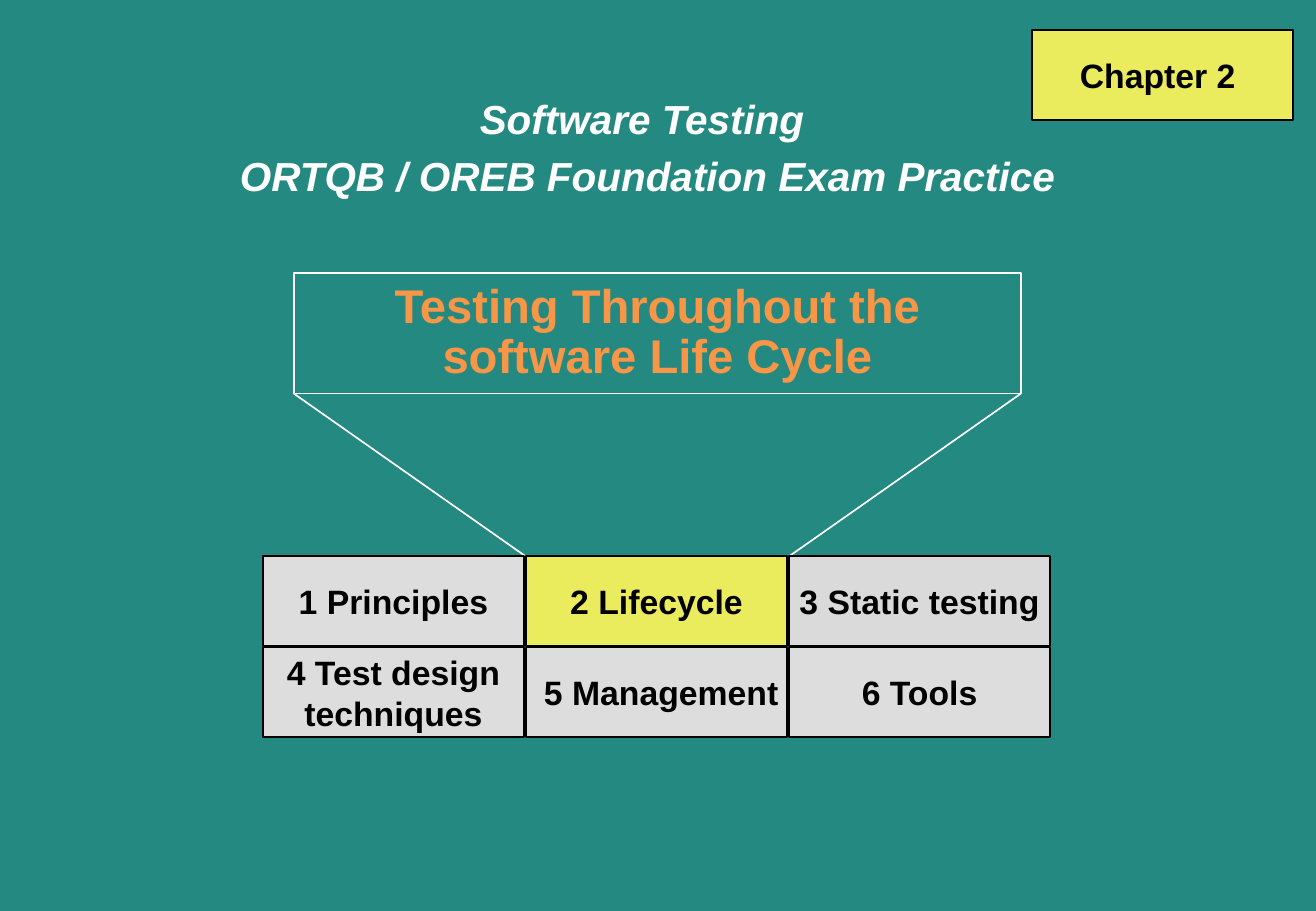
from pptx import Presentation
from pptx.dml.color import RGBColor
from pptx.enum.shapes import MSO_CONNECTOR, MSO_SHAPE
from pptx.enum.text import MSO_ANCHOR, MSO_AUTO_SIZE, PP_ALIGN
from pptx.oxml.ns import qn
from pptx.util import Inches, Pt
from lxml.etree import SubElement

TEAL = RGBColor(0x24, 0x89, 0x80)
WHITE = RGBColor(0xFF, 0xFF, 0xFF)
BLACK = RGBColor(0x00, 0x00, 0x00)
ORANGE = RGBColor(0xF7, 0x96, 0x46)
YELLOW = RGBColor(0xEA, 0xEC, 0x5E)
GREY = RGBColor(0xDD, 0xDD, 0xDD)
PALE_GREY = RGBColor(0xDA, 0xDA, 0xDA)


def write_text(para, text, color, **formats):
    para.text = text
    para.alignment = PP_ALIGN.CENTER
    for span in para.runs:
        span.font.color.rgb = color
        for name, value in {"name": "Arial", "bold": True, **formats}.items():
            setattr(span.font, name, value)


def add_chapter_box(left, top, text, fill):
    box = page.shapes.add_shape(
        MSO_SHAPE.RECTANGLE, Inches(left), Inches(top), Inches(2.15), Inches(0.74))
    box.shadow.inherit = False
    box.fill.solid()
    box.fill.fore_color.rgb = fill
    box.line.color.rgb = BLACK
    box.line.width = Pt(1)
    box.text_frame.word_wrap = False
    box.text_frame.vertical_anchor = MSO_ANCHOR.MIDDLE
    write_text(box.text_frame.paragraphs[0], text, BLACK, size=Pt(20))


deck = Presentation()
deck.slide_width, deck.slide_height = Inches(10.84), Inches(7.5)
page = deck.slides.add_slide(deck.slide_layouts[5])
page.background.fill.solid()
page.background.fill.fore_color.rgb = TEAL

title = page.shapes.title
title.left, title.top = Inches(2.42), Inches(2.25)
title.width, title.height = Inches(5.99), Inches(0.99)
title.line.color.rgb = WHITE
title.line.width = Pt(1)
title.text_frame.word_wrap = True
title.text_frame.auto_size = MSO_AUTO_SIZE.NONE
title.text_frame.vertical_anchor = MSO_ANCHOR.MIDDLE
title_para = title.text_frame.paragraphs[0]
write_text(title_para, "Testing Throughout the software Life Cycle", ORANGE, size=Pt(28))
title_para.line_spacing = 0.88

for title_corner, cell_corner in [(2.42, 4.33), (8.41, 6.5)]:
    ray = page.shapes.add_connector(
        MSO_CONNECTOR.STRAIGHT,
        Inches(title_corner), Inches(3.24), Inches(cell_corner), Inches(4.58))
    ray.line.color.rgb = WHITE
    ray.line.width = Pt(1)
    SubElement(ray._element.spPr, qn("a:effectLst"))

chapters = [
    [("1 Principles", GREY), ("2 Lifecycle", YELLOW), ("3 Static testing", PALE_GREY)],
    [("4 Test design\vtechniques", GREY), (" 5 Management", GREY), ("6 Tools", GREY)],
]
for row, row_chapters in enumerate(chapters):
    for column, (text, fill) in enumerate(row_chapters):
        add_chapter_box((column + 1) * 6.5 / 3, 4.58 + row * 0.75, text, fill)

heading = page.shapes.add_textbox(Inches(1), Inches(0.67), Inches(8.67), Inches(1))
frame = heading.text_frame
frame.word_wrap = True
frame.margin_left = frame.margin_right = Inches(0.07)
frame.margin_top = frame.margin_bottom = Inches(0.03)
frame.text = "Software Testing \nORTQB / OREB Foundation Exam Practice"
for para in frame.paragraphs:
    write_text(para, para.text, WHITE, size=Pt(24), italic=True)
    para.line_spacing = 1.18
    para._p.pPr.set("marL", str(Inches(0.38)))
    para._p.pPr.set("indent", str(-Inches(0.38)))

add_chapter_box(8.5, 0.25, "Chapter 2 ", YELLOW)

deck.save("out.pptx")
